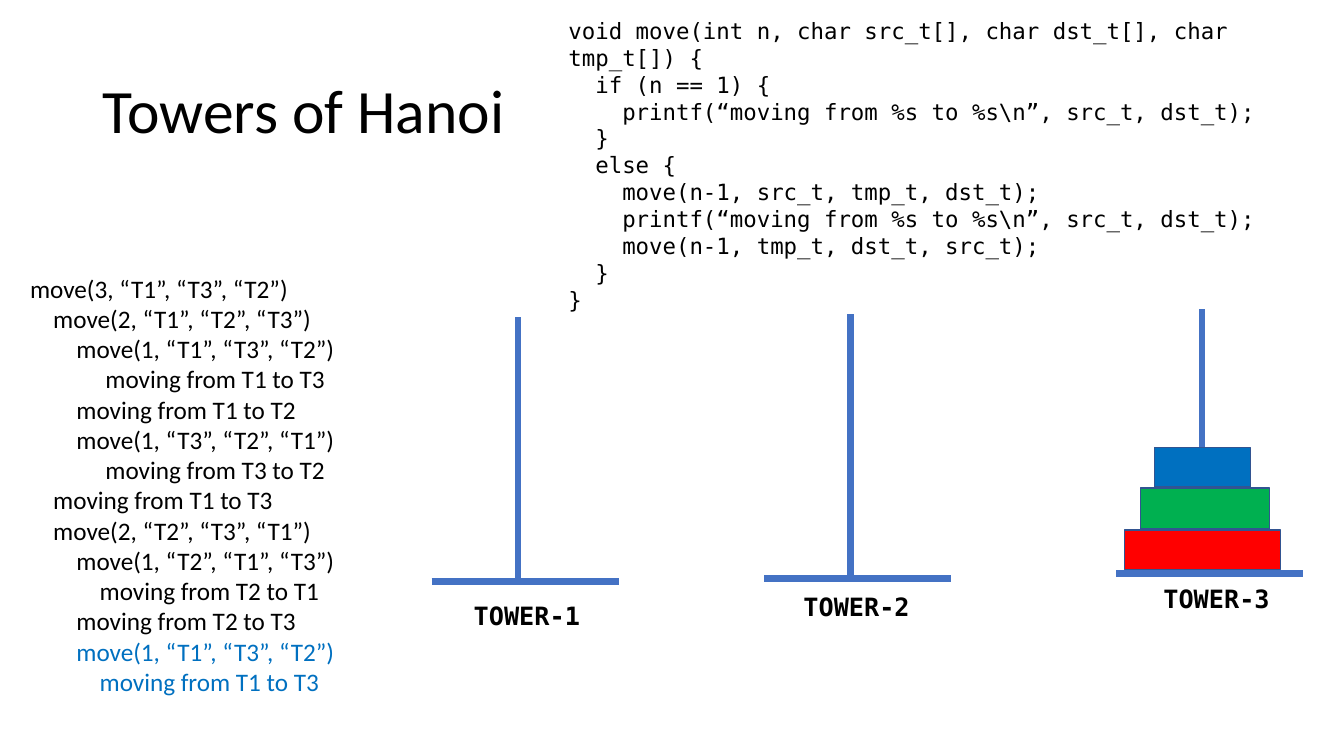
"""Builds the Towers of Hanoi slide: code, call trace and three towers."""
from dataclasses import dataclass

from lxml import etree
from pptx import Presentation
from pptx.dml.color import RGBColor
from pptx.enum.shapes import MSO_CONNECTOR as Connector, MSO_SHAPE as Shape
from pptx.enum.text import MSO_ANCHOR as Anchor, MSO_AUTO_SIZE as AutoSize, PP_ALIGN as Align
from pptx.oxml.ns import qn
from pptx.util import Inches, Pt


@dataclass(frozen=True)
class Theme:
    sans: str = "Calibri"
    mono: str = "DejaVu Sans Mono"
    ink: str = "000000"
    tower: str = "4472C4"
    disc_edge: str = "325491"
    red: str = "FF0000"
    green: str = "00B050"
    blue: str = "0070C0"
    title_size: int = 44
    body_size: int = 18
    code_size: int = 16
    tower_width: float = 4.5
    edge_width: float = 1
    indent: float = 0.23


def write(paragraph, text, *, font, size, color, bold=False, indent=0.0, spacing=None):
    """Put formatted text into a paragraph."""
    if indent:
        paragraph._p.get_or_add_pPr().set("marL", str(Inches(indent)))
    paragraph.alignment = Align.LEFT
    if spacing:
        paragraph.line_spacing = spacing
    run = paragraph.add_run()
    run.text = text
    run.font.name = font
    run.font.size = Pt(size)
    run.font.bold = bold
    run.font.color.rgb = RGBColor.from_string(color)


class SlideBuilder:
    """Draws each kind of element on the current slide in one theme."""

    def __init__(self, slide, theme):
        self.slide = slide
        self.theme = theme

    def title(self, text, left, top, width, height):
        """Place the title placeholder."""
        title = self.slide.shapes.title
        title.left, title.top = Inches(left), Inches(top)
        title.width, title.height = Inches(width), Inches(height)
        frame = title.text_frame
        frame.auto_size = AutoSize.NONE
        frame.vertical_anchor = Anchor.MIDDLE
        write(frame.paragraphs[0], text, font=self.theme.sans,
              size=self.theme.title_size, color=self.theme.ink, spacing=0.9)

    def text(self, lines, left, top, width, height, **style):
        """Add a text box from (text, overrides) lines."""
        box = self.slide.shapes.add_textbox(
            Inches(left), Inches(top), Inches(width), Inches(height))
        frame = box.text_frame
        frame.word_wrap = True
        for number, (line, overrides) in enumerate(lines):
            paragraph = frame.add_paragraph() if number else frame.paragraphs[0]
            write(paragraph, line, **{"color": self.theme.ink, **style, **overrides})

    def line(self, x1, y1, x2, y2):
        """Add a straight tower bar."""
        bar = self.slide.shapes.add_connector(
            Connector.STRAIGHT, Inches(x1), Inches(y1), Inches(x2), Inches(y2))
        bar.line.color.rgb = RGBColor.from_string(self.theme.tower)
        bar.line.width = Pt(self.theme.tower_width)
        etree.SubElement(bar._element.spPr, qn("a:effectLst"))

    def disc(self, color, left, top, width, height):
        """Add one disc."""
        disc = self.slide.shapes.add_shape(
            Shape.RECTANGLE, Inches(left), Inches(top), Inches(width), Inches(height))
        disc.shadow.inherit = False
        disc.fill.solid()
        disc.fill.fore_color.rgb = RGBColor.from_string(color)
        disc.line.color.rgb = RGBColor.from_string(self.theme.disc_edge)
        disc.line.width = Pt(self.theme.edge_width)

    def tower(self, name, left, base, label_left, label_top):
        """Add a base, its pole and its label."""
        pole = left + 0.855
        self.line(left, base, left + 1.855, base)
        self.line(pole, base - 2.62, pole, base + 0.02)
        self.text([(name, {})], label_left, label_top, 1.28, 0.4,
                  font=self.theme.mono, size=self.theme.body_size, bold=True)


CODE = r"""void move(int n, char src_t[], char dst_t[], char tmp_t[]) {
  if (n == 1) {
    printf(“moving from %s to %s\n”, src_t, dst_t);
  }
  else {
    move(n-1, src_t, tmp_t, dst_t);
    printf(“moving from %s to %s\n”, src_t, dst_t);
    move(n-1, tmp_t, dst_t, src_t);
  }
}"""

TRACE = [
    (0, "move(3, “T1”, “T3”, “T2”)"),
    (1, "move(2, “T1”, “T2”, “T3”)"),
    (2, "move(1, “T1”, “T3”, “T2”)"),
    (3.25, "moving from T1 to T3"),
    (2, "moving from T1 to T2"),
    (2, "move(1, “T3”, “T2”, “T1”)"),
    (3.25, "moving from T3 to T2"),
    (1, "moving from T1 to T3"),
    (1, "move(2, “T2”, “T3”, “T1”)"),
    (2, "move(1, “T2”, “T1”, “T3”)"),
    (3, "moving from T2 to T1"),
    (2, "moving from T2 to T3"),
    (2, "move(1, “T1”, “T3”, “T2”)"),
    (3, "moving from T1 to T3"),
]
CURRENT_CALL = len(TRACE) - 2

TOWERS = [
    ("TOWER-1", 4.28, 5.77, 4.6, 5.91),
    ("TOWER-2", 7.58, 5.74, 7.87, 5.82),
    ("TOWER-3", 11.07, 5.69, 11.44, 5.74),
]


def main():
    """Build and save the slide."""
    theme = Theme()
    deck = Presentation()
    deck.slide_width, deck.slide_height = Inches(13.33), Inches(7.5)
    builder = SlideBuilder(deck.slides.add_slide(deck.slide_layouts[5]), theme)

    builder.title("Towers of Hanoi", 0.92, 0.4, 11.5, 1.45)
    for tower in TOWERS:
        builder.tower(*tower)
    builder.disc(theme.red, 11.15, 5.26, 1.55, 0.39)
    builder.disc(theme.green, 11.31, 4.84, 1.28, 0.41)
    builder.disc(theme.blue, 11.45, 4.44, 0.95, 0.39)

    trace = [
        (call, {"indent": depth * theme.indent,
                "color": theme.blue if step >= CURRENT_CALL else theme.ink})
        for step, (depth, call) in enumerate(TRACE)
    ]
    builder.text(trace, 0.2, 2.66, 3.3, 4.34, font=theme.sans, size=theme.body_size)
    builder.text([(line, {}) for line in CODE.splitlines()], 5.54, 0.12, 7.6, 2.79,
                 font=theme.mono, size=theme.code_size)
    deck.save("out.pptx")


if __name__ == "__main__":
    main()
